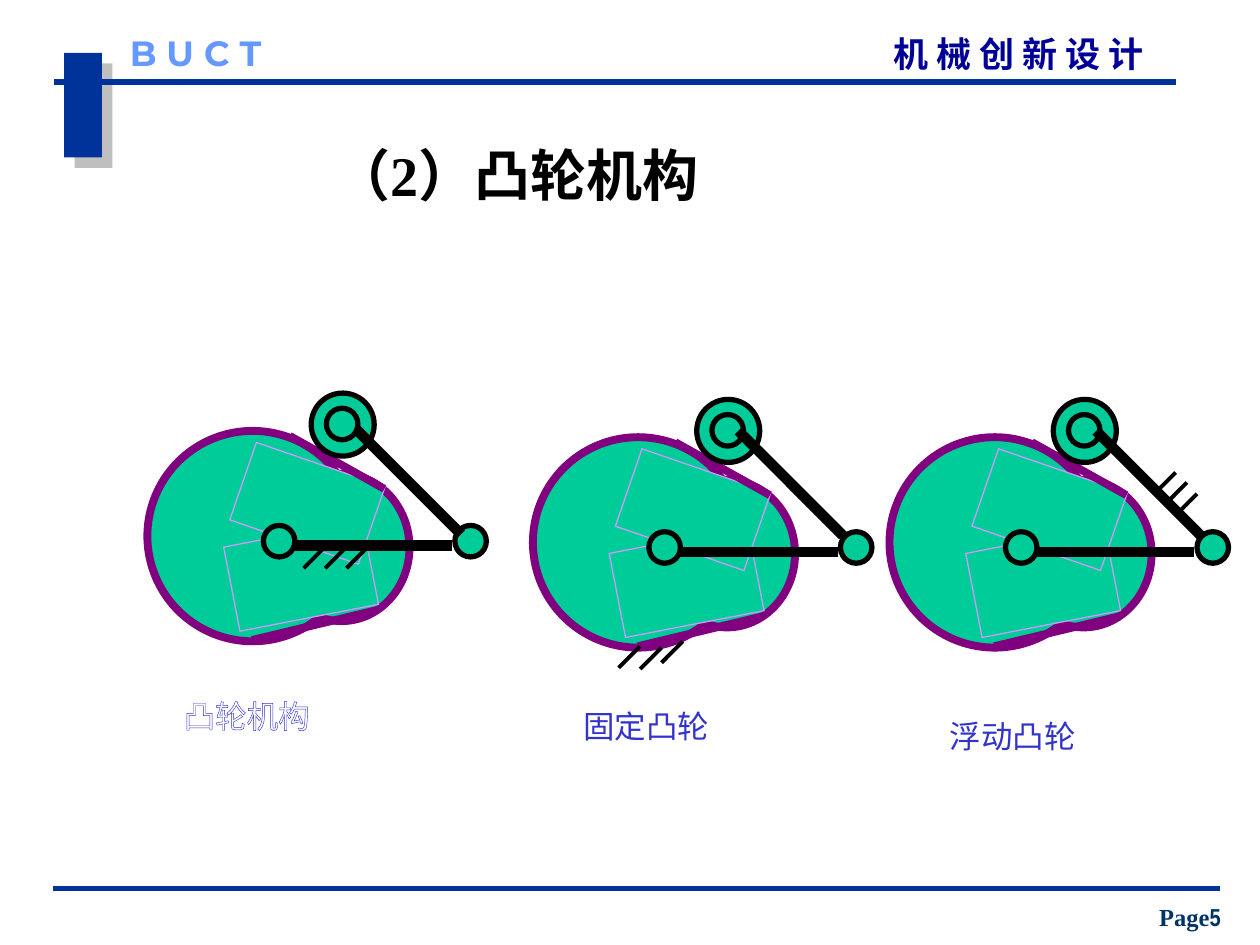
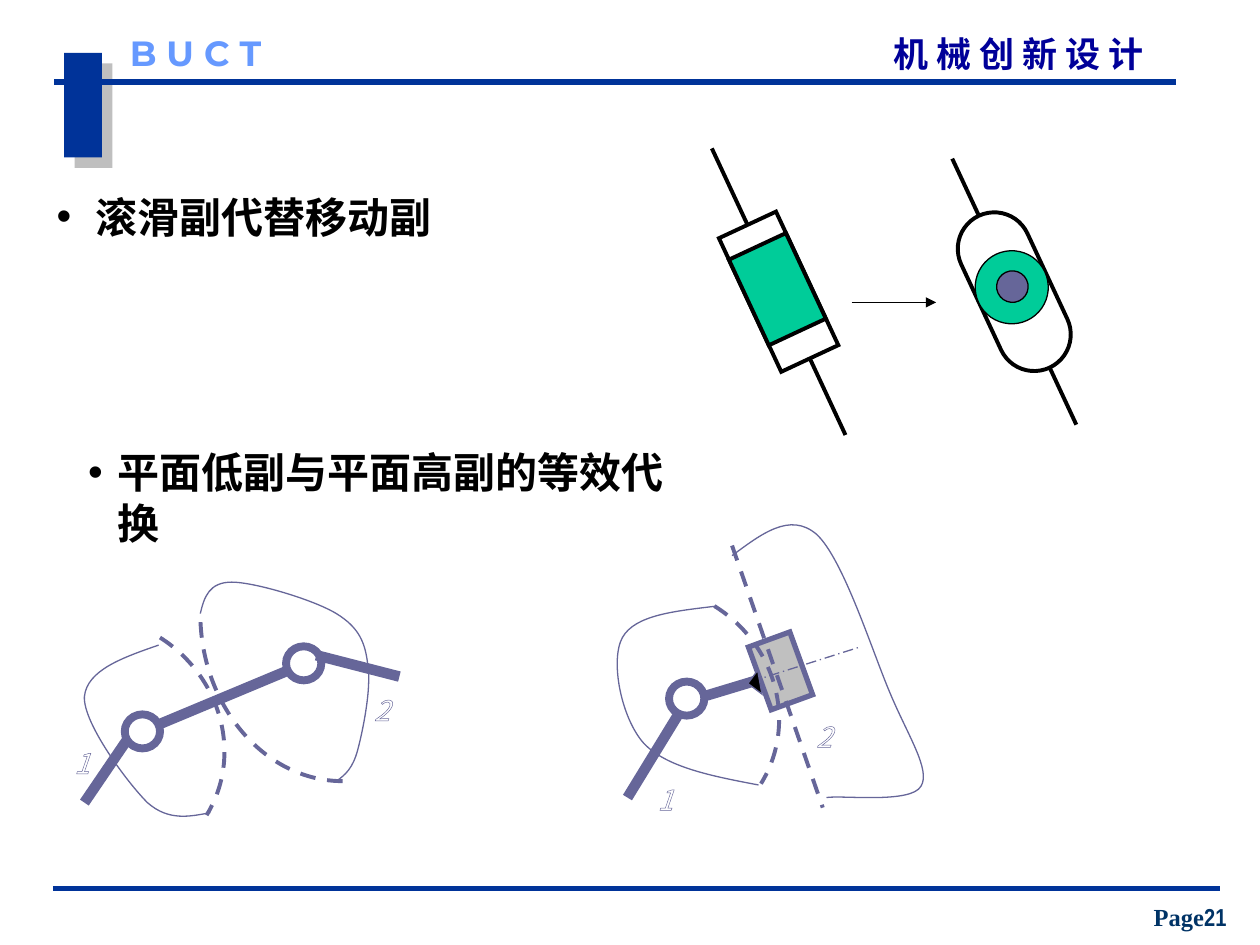
from math import cos, radians, sin

from lxml.etree import SubElement
from pptx import Presentation
from pptx.dml.color import RGBColor
from pptx.enum.dml import MSO_LINE as Dash
from pptx.enum.shapes import MSO_CONNECTOR, MSO_SHAPE as Shape
from pptx.enum.text import MSO_ANCHOR as Anchor, MSO_AUTO_SIZE, PP_ALIGN as Align
from pptx.oxml.ns import qn
from pptx.util import Inches, Pt

# Colours and fonts
NAVY = RGBColor(0x00, 0x33, 0x99)
COURSE_BLUE = RGBColor(0x00, 0x00, 0x99)
SCHOOL_BLUE = RGBColor(0x66, 0x99, 0xFF)
PAGE_BLUE = RGBColor(0x00, 0x33, 0x66)
LABEL_BLUE = RGBColor(0x33, 0x33, 0xCC)
GREEN = RGBColor(0x00, 0xCC, 0x99)
PURPLE = RGBColor(0x80, 0x00, 0x80)
LILAC = RGBColor(0xCC, 0x99, 0xFF)
SLATE = RGBColor(0x66, 0x66, 0x99)
SILVER = RGBColor(0xC0, 0xC0, 0xC0)
BLACK = RGBColor(0x00, 0x00, 0x00)
WHITE = RGBColor(0xFF, 0xFF, 0xFF)
CJK = "Noto Sans CJK SC"
SERIF = "Times New Roman"

# Slide 1: one cam mechanism, measured from the corner of its base circle
CAM_BODY = [  # shape, box, fill, line colour, line width, rotation
    (Shape.OVAL, (0, 0, 1.67, 1.67), GREEN, PURPLE, 4.5, 0),
    (Shape.OVAL, (1, 0.34, 1.08, 1.17), GREEN, PURPLE, 4.5, 0),
    (Shape.RECTANGLE, (0.66, 0.81, 1.12, 0.68), GREEN, LILAC, 0.75, 349),
    (Shape.RECTANGLE, (0.73, 0.25, 1.08, 0.65), GREEN, LILAC, 0.75, 19),
]
CAM_TANGENTS = [((1.13, 0.04), (1.88, 0.46)), ((0.83, 1.66), (1.83, 1.42))]
PIVOTS = [(0.92, 0.75, 0.25, 0.25), (2.44, 0.75, 0.25, 0.25)]
FRAME_LINK = ((1.17, 0.91), (2.42, 0.91))
ROLLER = [(1.3, -0.3, 0.5, 0.5), (1.42, -0.18, 0.25, 0.25)]
FOLLOWER_REACH = 0.83
HATCH = 0.17
MECHANISMS = [
    {"origin": (1.17, 3.42), "follower": (1.66, -0.01),
     "hatches": [(2.58, 4.34), (2.75, 4.34), (2.92, 4.34)],
     "label": "凸轮机构", "label_at": (1.36, 5.48), "outlined": True},
    {"origin": (4.23, 3.47), "follower": (1.63, -0.05),
     "hatches": [(5.08, 5.13), (5.25, 5.14), (5.42, 5.09)],
     "label": "固定凸轮", "label_at": (4.53, 5.56), "outlined": False},
    {"origin": (7.06, 3.47), "follower": (1.64, -0.05),
     "hatches": [(9.33, 3.75), (9.42, 3.83), (9.5, 3.92)],
     "label": "浮动凸轮", "label_at": (7.44, 5.64), "outlined": False},
]

# Slide 2: lists, sliding pairs and linkages
BULLETS = [  # text, box, indent, Latin font
    ("滚滑副代替移动副", (0.35, 1.47, 4, 0.5), 0.31, SERIF),
    ("平面低副与平面高副的等效代换", (0.6, 3.5, 4.98, 0.9), 0.23, "Arial"),
]
TILT = 335
GUIDES = [  # shape, box, rod length, parts riding in the guide
    (Shape.RECTANGLE, (5.93, 1.73, 0.5, 1.17), 0.67,
     [(Shape.RECTANGLE, (5.92, 1.92, 0.5, 0.75), GREEN, BLACK, 2.25, TILT)]),
    (Shape.ROUNDED_RECTANGLE, (7.76, 1.65, 0.58, 1.33), 0.5,
     [(Shape.OVAL, (7.74, 1.99, 0.58, 0.58), GREEN, BLACK, 0.75, TILT),
      (Shape.OVAL, (7.91, 2.15, 0.25, 0.25), SLATE, BLACK, 0.75, TILT)]),
]
DASHED = {"width": 2.25, "dash": Dash.DASH}
THIN = {"width": 0.75}
THICK = {"width": 6}
RING = (WHITE, SLATE, 4.5, 0)
# Drawn in order: curves hold a start and Bezier segments, lines hold two ends
HIGHER_PAIR = [
    ("curve", (1.27, 5.06), [((1.76, 5.37), (1.93, 6), (1.64, 6.47))], DASHED),
    ("curve", (2.72, 6.2), [((2.1, 6.2), (1.59, 5.6), (1.59, 4.87))], DASHED),
    ("line", (1.14, 5.8), (2.41, 5.27), THICK),
    ("shape", Shape.OVAL, (0.99, 5.67, 0.28, 0.27), RING),
    ("shape", Shape.OVAL, (2.27, 5.13, 0.28, 0.27), RING),
    ("curve", (1.26, 5.12), [((0.97, 5.22), (0.69, 5.32), (0.67, 5.53)),
                             ((0.66, 5.74), (1.01, 6.21), (1.17, 6.37)),
                             ((1.34, 6.52), (1.51, 6.48), (1.67, 6.45))], THIN),
    ("curve", (1.59, 4.87), [((1.62, 4.74), (1.66, 4.62), (1.84, 4.62)),
                             ((2.02, 4.62), (2.49, 4.76), (2.67, 4.87)),
                             ((2.85, 4.98), (2.9, 5.1), (2.92, 5.28)),
                             ((2.95, 5.46), (2.88, 5.8), (2.84, 5.95)),
                             ((2.8, 6.1), (2.74, 6.15), (2.67, 6.2))], THIN),
    ("line", (1.01, 5.87), (0.67, 6.37), THICK),
    ("line", (2.51, 5.2), (3.17, 5.37), THICK),
]
LOWER_PAIR = [
    ("shape", Shape.RECTANGLE, (6.02, 5.06, 0.35, 0.53), (SILVER, SLATE, 3, 340)),
    ("curve", (5.67, 4.81), [((6.17, 5.12), (6.33, 5.75), (6.04, 6.22))], DASHED),
    ("shape", Shape.OVAL, (5.31, 5.41, 0.28, 0.27), RING),
    ("line", (5.61, 5.52), (6.04, 5.39), THICK),
    ("line", (5.81, 4.33), (6.53, 6.41), DASHED),
    ("line", (5.96, 5.41), (6.81, 5.14), {"width": 0.75, "dash": Dash.LONG_DASH_DOT}),
    ("shape", Shape.RIGHT_TRIANGLE, (5.96, 5.35, 0.14, 0.13), (BLACK, SLATE, 0.75, 37)),
    ("curve", (5.69, 4.81), [((5.36, 4.85), (5.04, 4.88), (4.94, 5.06)),
                             ((4.84, 5.24), (4.93, 5.7), (5.11, 5.9)),
                             ((5.29, 6.09), (5.65, 6.16), (6.02, 6.23))], THIN),
    ("line", (5.39, 5.66), (4.98, 6.33), THICK),
    ("curve", (5.81, 4.41), [((6.04, 4.24), (6.27, 4.06), (6.48, 4.24)),
                             ((6.69, 4.43), (6.92, 5.16), (7.06, 5.49)),
                             ((7.2, 5.83), (7.39, 6.11), (7.31, 6.24)),
                             ((7.23, 6.38), (6.69, 6.31), (6.56, 6.33))], THIN),
]
LINK_NUMBERS = [("1", 0.49, 5.87), ("2", 2.87, 5.45), ("1", 5.12, 6.16), ("2", 6.38, 5.66)]


def shifted(values, origin):
    """Move a point or a box by the origin."""
    return (values[0] + origin[0], values[1] + origin[1], *values[2:])


def move(shape, box):
    shape.left, shape.top, shape.width, shape.height = map(Inches, box)


def write_text(shape, text, size, color, font=SERIF, bold=False, italic=False,
               align=Align.LEFT, anchor=Anchor.TOP, margins=(0.1, 0.05),
               outline=None, indent=None, line_height=None):
    """Fill a shape with one paragraph; text is a string or (text, font) runs."""
    frame = shape.text_frame
    frame.word_wrap = True
    frame.auto_size = MSO_AUTO_SIZE.NONE
    frame.vertical_anchor = anchor
    frame.margin_left = frame.margin_right = Inches(margins[0])
    frame.margin_top = frame.margin_bottom = Inches(margins[1])
    paragraph = frame.paragraphs[0]
    paragraph.alignment = align
    paragraph.space_before = Pt(0)
    if line_height:
        paragraph.line_spacing = Pt(line_height)
    if indent:
        properties = paragraph._p.get_or_add_pPr()
        properties.set("marL", str(Inches(indent)))
        properties.set("indent", str(-Inches(indent)))
        bullet_color = SubElement(properties, qn("a:buClr"))
        SubElement(bullet_color, qn("a:srgbClr"), val=str(color))
        SubElement(properties, qn("a:buFont"), typeface="Arial")
        SubElement(properties, qn("a:buChar"), char="•")
    for words, typeface in [(text, font)] if isinstance(text, str) else text:
        run = paragraph.add_run()
        run.text = words
        run.font.size, run.font.bold, run.font.italic = Pt(size), bold, italic
        run.font.color.rgb = color
        run.font.name = typeface
        properties = run._r.get_or_add_rPr()
        SubElement(properties, qn("a:ea"), typeface=CJK)
        if outline:
            line = SubElement(properties, qn("a:ln"), w=str(Pt(0.75)))
            fill = SubElement(line, qn("a:solidFill"))
            SubElement(fill, qn("a:srgbClr"), val=str(outline))
            properties.insert(0, line)


def add_text(slide, box, text, size, color, **text_format):
    write_text(slide.shapes.add_textbox(*map(Inches, box)), text, size, color, **text_format)


def add_part(slide, kind, box, fill, color, width, rotation=0):
    shape = slide.shapes.add_shape(kind, *map(Inches, box))
    shape.shadow.inherit = False
    shape.rotation = rotation
    shape.fill.solid()
    shape.fill.fore_color.rgb = fill
    if color is None:
        shape.line.fill.background()
    else:
        shape.line.color.rgb = color
        shape.line.width = Pt(width)
        SubElement(shape._element.spPr.find(qn("a:ln")), qn("a:miter"), lim="800000")
    return shape


def add_line(slide, start, end, color, width, dash=None, arrow=False):
    line = slide.shapes.add_connector(MSO_CONNECTOR.STRAIGHT, *map(Inches, (*start, *end)))
    line.line.color.rgb = color
    line.line.width = Pt(width)
    if dash:
        line.line.dash_style = dash
    properties = line._element.spPr
    if arrow:
        SubElement(properties.find(qn("a:ln")), qn("a:tailEnd"), type="triangle")
    SubElement(properties, qn("a:effectLst"))
    return line


def add_curve(slide, start, segments, color, width, dash=None):
    """Draw an open outline, then turn each three points into a Bezier segment."""
    points = [tuple(map(Inches, point)) for segment in segments for point in segment]
    builder = slide.shapes.build_freeform(*map(Inches, start))
    builder.add_line_segments(points, close=False)
    curve = builder.convert_to_shape()
    outline = next(curve._element.iter(qn("a:path")))
    straights = outline.findall(qn("a:lnTo"))
    for index, straight in enumerate(straights):
        if index % 3 == 0:
            bezier = SubElement(outline, qn("a:cubicBezTo"))
        bezier.append(straight[0])
        outline.remove(straight)
    curve.shadow.inherit = False
    curve.fill.background()
    curve.line.color.rgb = color
    curve.line.width = Pt(width)
    if dash:
        curve.line.dash_style = dash


def add_frame(slide, page):
    """Header band, footer rule and page number shared by the slides."""
    block = add_part(slide, Shape.RECTANGLE, (0.51, 0.42, 0.3, 0.83), NAVY, None, 0)
    effects = block._element.spPr.find(qn("a:effectLst"))
    shadow = SubElement(effects, qn("a:outerShdw"), dist=str(Pt(8.5)), dir="2700000")
    shade = SubElement(shadow, qn("a:srgbClr"), val="808080")
    SubElement(shade, qn("a:alpha"), val="50000")
    add_line(slide, (0.43, 0.65), (9.33, 0.65), NAVY, 3)
    add_text(slide, (7.09, 0.26, 2.45, 0.33), "机 械 创 新 设 计", 20, COURSE_BLUE,
             font=CJK, bold=True, margins=(0, 0))
    add_line(slide, (0.42, 7.05), (9.68, 7.05), NAVY, 3)
    add_text(slide, (1.03, 0.25, 1.42, 0.33), "B U C T", 20, SCHOOL_BLUE,
             font="Montserrat", bold=True, margins=(0, 0))
    add_text(slide, (8.97, 7.11, 0.95, 0.33), [("Page", SERIF), (page, "Arial Narrow")],
             14, PAGE_BLUE, bold=True, align=Align.CENTER, anchor=Anchor.BOTTOM)


def add_mechanism(slide, mechanism):
    origin = mechanism["origin"]
    for kind, box, *style in CAM_BODY:
        add_part(slide, kind, shifted(box, origin), *style)
    for start, end in CAM_TANGENTS:
        add_line(slide, shifted(start, origin), shifted(end, origin), PURPLE, 4.5)
    for box in PIVOTS:
        add_part(slide, Shape.OVAL, shifted(box, origin), GREEN, BLACK, 3)
    add_line(slide, *(shifted(point, origin) for point in FRAME_LINK), BLACK, 6)
    for box in ROLLER:
        add_part(slide, Shape.OVAL, shifted(box, origin), GREEN, BLACK, 3)
    start = shifted(mechanism["follower"], origin)
    add_line(slide, start, shifted(start, (FOLLOWER_REACH, FOLLOWER_REACH)), BLACK, 6)
    for start in mechanism["hatches"]:
        add_line(slide, start, shifted(start, (-HATCH, HATCH)), BLACK, 2.25)
    color, outline = (WHITE, LABEL_BLUE) if mechanism["outlined"] else (LABEL_BLUE, None)
    add_text(slide, (*mechanism["label_at"], 1.57, 0.4), mechanism["label"], 18, color,
             font=CJK if outline else "Arial", outline=outline)


def add_guide(slide, kind, box, rod, riders):
    """Tilted guide with a rod leaving the middle of each short side."""
    guide = add_part(slide, kind, box, WHITE, BLACK, 2.25, TILT)
    if kind == Shape.ROUNDED_RECTANGLE:
        guide.adjustments[0] = 0.5
    left, top, width, height = box
    center = (left + width / 2, top + height / 2)
    axis = (-sin(radians(TILT)), cos(radians(TILT)))
    for sign, side in ((-1, 0), (1, 2)):
        near, far = (shifted(center, [sign * reach * part for part in axis])
                     for reach in (height / 2, height / 2 + rod))
        line = add_line(slide, far, near, BLACK, 2.25)
        line.end_connect(guide, side)
        line.end_x, line.end_y = map(Inches, near)
    for rider in riders:
        add_part(slide, *rider)


def add_linkage(slide, parts):
    for kind, first, second, style in parts:
        if kind == "shape":
            add_part(slide, first, second, *style)
        else:
            draw = add_curve if kind == "curve" else add_line
            draw(slide, first, second, SLATE, **style)


def main():
    presentation = Presentation()
    presentation.slide_width, presentation.slide_height = Inches(10), Inches(7.5)
    layouts = presentation.slide_layouts

    # Cam mechanisms
    slide = presentation.slides.add_slide(layouts[5])
    add_frame(slide, "5")
    move(slide.shapes.title, (1, 1, 6.2, 0.76))
    write_text(slide.shapes.title, "（2）凸轮机构", 32, BLACK, bold=True,
               align=Align.CENTER, anchor=Anchor.MIDDLE, margins=(0, 0))
    for mechanism in MECHANISMS:
        add_mechanism(slide, mechanism)

    # Equivalent pairs
    slide = presentation.slides.add_slide(layouts[3])
    title, *bodies = slide.placeholders
    title._element.getparent().remove(title._element)
    add_frame(slide, "21")
    for guide in GUIDES:
        add_guide(slide, *guide)
    add_line(slide, (6.76, 2.4), (7.43, 2.4), BLACK, 0.75, arrow=True)
    for body, (text, box, indent, font) in zip(bodies, BULLETS):
        move(body, box)
        write_text(body, text, 24, BLACK, font=font, bold=True, indent=indent, line_height=28.6)
    for parts in (HIGHER_PAIR, LOWER_PAIR):
        add_linkage(slide, parts)
    for number, left, top in LINK_NUMBERS:
        add_text(slide, (left, top, 0.35, 0.42), number, 16, WHITE,
                 font=CJK, italic=True, outline=SLATE)
    presentation.save("out.pptx")


if __name__ == "__main__":
    main()
